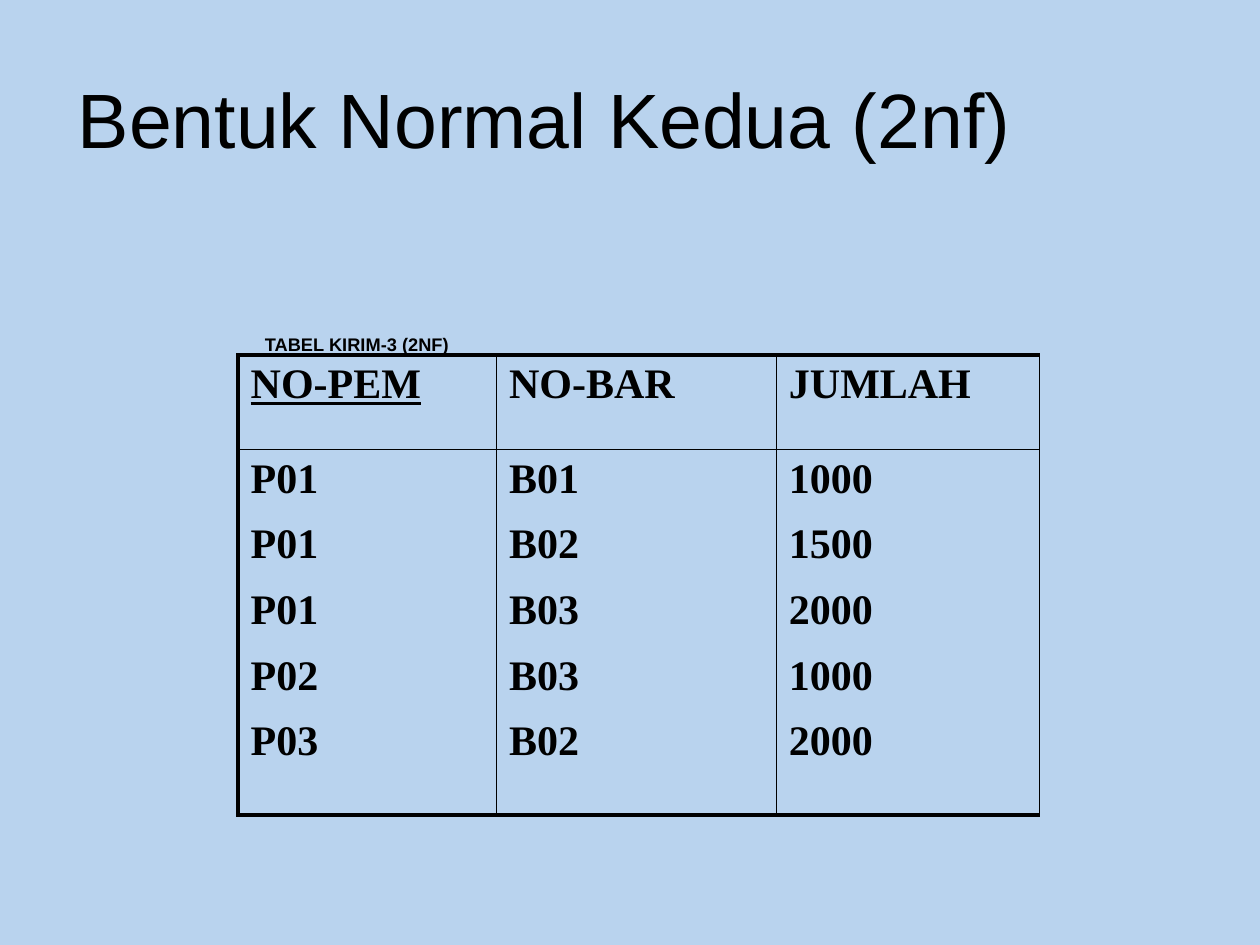
from lxml import etree
from pptx import Presentation
from pptx.dml.color import RGBColor
from pptx.enum.text import MSO_ANCHOR, PP_ALIGN
from pptx.oxml.ns import qn
from pptx.util import Cm, Pt

MIDDLE, TOP = MSO_ANCHOR.MIDDLE, MSO_ANCHOR.TOP
LEFT, CENTER = PP_ALIGN.LEFT, PP_ALIGN.CENTER

TITLE = "Bentuk Normal Kedua (2nf)"
LABEL = "TABEL KIRIM-3 (2NF)"
HEADS = ["NO-PEM", "NO-BAR", "JUMLAH"]
DATA = [
    ("P01", "B01", "1000"),
    ("P01", "B02", "1500"),
    ("P01", "B03", "2000"),
    ("P02", "B03", "1000"),
    ("P03", "B02", "2000"),
]
KEY = "NO-PEM"
WIDTHS = [5.21, 5.64, 5.31, 0.69, 3.51]
HEIGHTS = [1.9, 7.37]

THEME = {
    "back": "B9D3EE", "ink": "000000",
    "title": ("Arial", 44, False),
    "label": ("Arial", 18, True),
    "cell": ("Times New Roman", 24, True),
    "gap": 11, "thin": 1, "thick": 2.25,
}


def write(para, text, style):
    """Add one styled run to a paragraph."""
    run = para.add_run()
    run.text = text
    font = run.font
    font.name, size, font.bold = THEME[style]
    font.size = Pt(size)
    font.color.rgb = RGBColor.from_string(THEME["ink"])
    return run


def add_box(slide, area, text, style, align, anchor, wrap):
    """Add a text box holding one run."""
    frame = slide.shapes.add_textbox(*map(Cm, area)).text_frame
    frame.word_wrap = wrap
    frame.vertical_anchor = anchor
    para = frame.paragraphs[0]
    para.alignment = align
    return write(para, text, style)


def fill_cell(cell, lines):
    """Write one paragraph for each line."""
    frame = cell.text_frame
    for i, text in enumerate(lines):
        para = frame.add_paragraph() if i else frame.paragraphs[0]
        if i:
            para.space_before = Pt(THEME["gap"])
        run = write(para, text, "cell")
        run.font.underline = text == KEY


def rule_cell(cell, sides):
    """Draw the left, right, top and bottom borders of a clear cell."""
    props = cell._tc.get_or_add_tcPr()
    for side, width in zip("LRTB", sides):
        line = etree.SubElement(props, qn(f"a:ln{side}"), w=str(Pt(width)))
        if width:
            fill = etree.SubElement(line, qn("a:solidFill"))
            etree.SubElement(fill, qn("a:srgbClr"), val=THEME["ink"])
        else:
            etree.SubElement(line, qn("a:noFill"))
    cell.fill.background()


def add_grid(slide):
    """Add the table with its ruled columns and two open ones."""
    area = (4.8, 7.16, sum(WIDTHS), sum(HEIGHTS))
    table = slide.shapes.add_table(
        len(HEIGHTS), len(WIDTHS), *map(Cm, area)).table
    table.first_row = table.horz_banding = False
    for col, width in zip(table.columns, WIDTHS):
        col.width = Cm(width)
    for row, height in zip(table.rows, HEIGHTS):
        row.height = Cm(height)
    thin, thick = THEME["thin"], THEME["thick"]
    for c in range(len(WIDTHS)):
        for r in range(len(HEIGHTS)):
            if c < len(HEADS):
                sides = (thin if c else thick, thin,
                         thin if r else thick, thick if r else thin)
            else:
                sides = (thin if c == len(HEADS) else 0, 0, 0, 0)
            rule_cell(table.cell(r, c), sides)
        if c >= len(HEADS):
            table.cell(0, c).merge(table.cell(1, c))
    for c, (head, lines) in enumerate(zip(HEADS, zip(*DATA))):
        fill_cell(table.cell(0, c), [head])
        fill_cell(table.cell(1, c), lines)


def main():
    """Build the slide and save it."""
    deck = Presentation()
    deck.slide_width, deck.slide_height = Cm(25.4), Cm(19.05)
    slide = deck.slides.add_slide(deck.slide_layouts[6])
    back = slide.background.fill
    back.solid()
    back.fore_color.rgb = RGBColor.from_string(THEME["back"])
    add_box(slide, (1.32, 0.79, 22.86, 3.18), TITLE, "title",
            LEFT, MIDDLE, True)
    add_grid(slide)
    label = add_box(slide, (4.78, 6.17, 4.83, 0.76), LABEL, "label",
                    CENTER, TOP, False)
    label._r.get_or_add_rPr().set("baseline", "-25000")
    deck.save("out.pptx")


if __name__ == "__main__":
    main()
